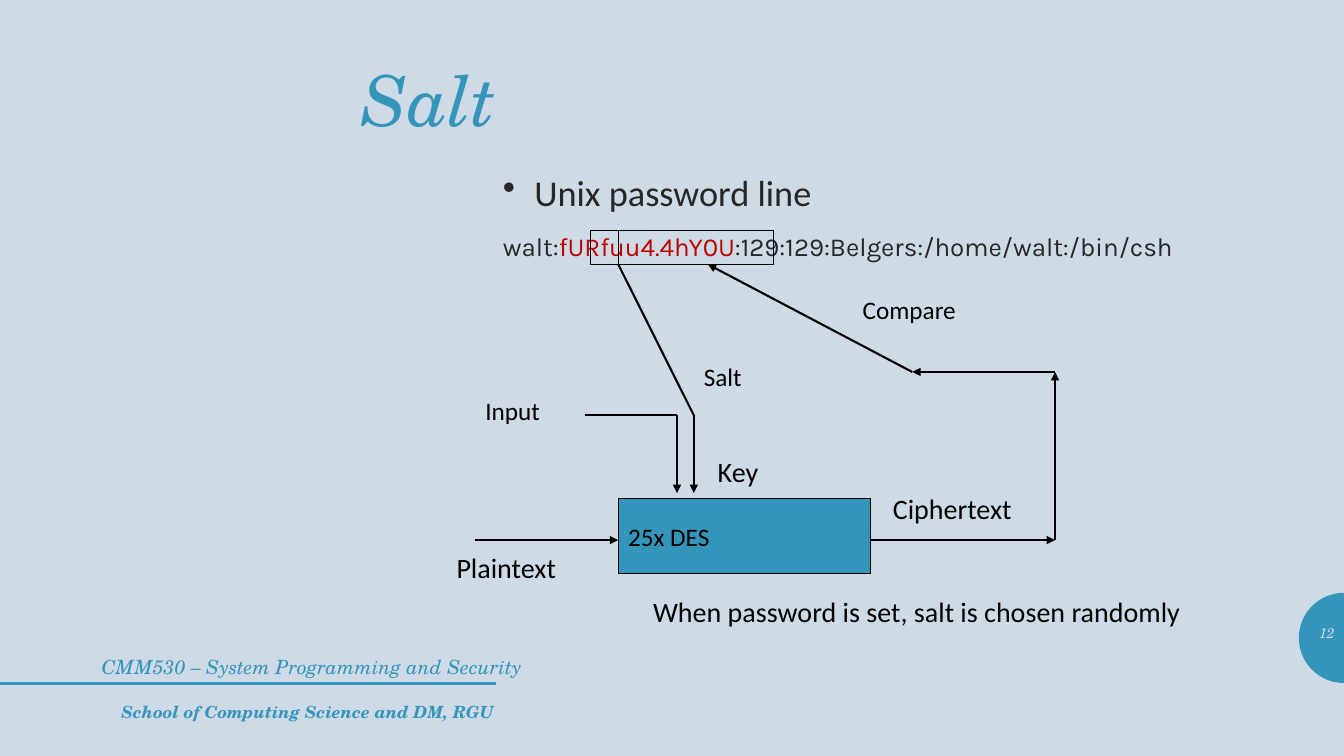
from dataclasses import dataclass
from math import cos, radians, sin

from lxml.etree import SubElement
from pptx import Presentation
from pptx.dml.color import RGBColor
from pptx.enum.shapes import MSO_CONNECTOR, MSO_SHAPE
from pptx.enum.text import MSO_ANCHOR, MSO_AUTO_SIZE, PP_ALIGN
from pptx.oxml.ns import qn
from pptx.util import Pt


@dataclass(frozen=True)
class Theme:
    background: RGBColor = RGBColor(0xCE, 0xDB, 0xE6)
    accent: RGBColor = RGBColor(0x34, 0x94, 0xBA)
    ink: RGBColor = RGBColor(0, 0, 0)
    body: RGBColor = RGBColor(0x26, 0x26, 0x26)
    highlight: RGBColor = RGBColor(0xC0, 0, 0)
    serif: str = "TeX Gyre Schola"
    sans: str = "Calibri"
    code: str = "Karla"
    title_size: float = 50
    bullet_size: float = 25.9
    code_size: float = 18.5
    large_size: float = 20
    label_size: float = 18
    course_size: float = 14
    school_size: float = 12
    number_size: float = 10


theme = Theme()
deck = Presentation()
deck.slide_width, deck.slide_height = Pt(960), Pt(540)
page = deck.slides.add_slide(deck.slide_layouts[6])
page.background.fill.solid()
page.background.fill.fore_color.rgb = theme.background


def add_text(text, left, top, width, height, size, face, color, align=PP_ALIGN.LEFT):
    box = page.shapes.add_textbox(Pt(left), Pt(top), Pt(width), Pt(height))
    box.text_frame.word_wrap = True
    para = box.text_frame.paragraphs[0]
    para.text = text
    para.alignment = align
    para.font.size, para.font.name, para.font.color.rgb = Pt(size), face, color
    return box


def add_line(start, end, color, width, arrow=False):
    line = page.shapes.add_connector(
        MSO_CONNECTOR.STRAIGHT, Pt(start[0]), Pt(start[1]), Pt(end[0]), Pt(end[1]))
    line.line.color.rgb = color
    line.line.width = Pt(width)
    if arrow:
        SubElement(line.line._get_or_add_ln(), qn("a:tailEnd"), type="triangle")
    SubElement(line._element.spPr, qn("a:effectLst"))


# Half disc on the right edge, behind the page number
disc_x, disc_y, radius = 960, 455.7, 32.2
arc = [(Pt(disc_x + radius * cos(radians(angle))), Pt(disc_y + radius * sin(radians(angle))))
       for angle in range(90, 271, 5)]
outline = page.shapes.build_freeform(*arc[0])
outline.add_line_segments(arc[1:], close=True)
disc = outline.convert_to_shape()
disc.shadow.inherit = False
disc.fill.solid()
disc.fill.fore_color.rgb = theme.accent
disc.line.fill.background()

# Title, footer and page number
add_line((0, 488.3), (354.3, 488.3), theme.accent, 2)
course = add_text("CMM530 – System Programming and Security", 27.4, 464.4, 352.8, 28.8,
                  theme.course_size, theme.serif, theme.accent, PP_ALIGN.RIGHT)
school = add_text("School of Computing Science and DM, RGU", 60, 497.5, 300, 28.8,
                  theme.school_size, theme.serif, theme.accent, PP_ALIGN.RIGHT)
title = add_text("Salt", 60, 43.9, 301.7, 390,
                 theme.title_size, theme.serif, theme.accent, PP_ALIGN.RIGHT)
number = add_text("12", 928, 434.2, 32.4, 36,
                  theme.number_size, theme.serif, theme.background, PP_ALIGN.RIGHT)
for box in (course, school, title, number):
    box.text_frame.paragraphs[0].font.italic = True
school.text_frame.paragraphs[0].font.bold = True
title.text_frame.paragraphs[0].line_spacing = 0.9
number.text_frame.vertical_anchor = MSO_ANCHOR.MIDDLE

# Password line
body = add_text("Unix password line", 352.1, 114.5, 539.3, 84.2,
                theme.bullet_size, theme.sans, theme.body)
bullet = body.text_frame.paragraphs[0]
bullet.line_spacing = 1.12
properties = bullet._p.get_or_add_pPr()
properties.set("marL", str(Pt(22.5)))
properties.set("indent", str(-Pt(22.5)))
mark = properties.makeelement(qn("a:buChar"), {"char": "•"})
properties.find(qn("a:defRPr")).addprevious(mark)

entry = body.text_frame.add_paragraph()
entry.line_spacing = 1.12
entry.space_before = Pt(9)
entry.font.size, entry.font.name = Pt(theme.code_size), theme.code
for text, color in (
    ("walt:", theme.body),
    ("fURfuu4.4hY0U", theme.highlight),
    (":129:129:Belgers:/home/walt:/bin/csh", theme.body),
):
    span = entry.add_run()
    span.text = text
    span.font.color.rgb = color

# Frames around salt and hash, and the cipher block
des_left, des_right = 441.6, 621.6
frame_top, frame_bottom = 164.6, 188.8
frame_height = frame_bottom - frame_top
for left, top, width, height, text in (
    (421.6, frame_top, 20, frame_height, ""),
    (des_left, frame_top, 111, frame_height, ""),
    (des_left, 355.8, des_right - des_left, 54, "25x DES"),
):
    block = page.shapes.add_shape(MSO_SHAPE.RECTANGLE, Pt(left), Pt(top), Pt(width), Pt(height))
    block.shadow.inherit = False
    block.line.color.rgb = theme.ink
    block.line.width = Pt(0.75)
    if not text:
        block.fill.background()
        continue
    block.fill.solid()
    block.fill.fore_color.rgb = theme.accent
    block.text_frame.word_wrap = False
    block.text_frame.vertical_anchor = MSO_ANCHOR.MIDDLE
    para = block.text_frame.paragraphs[0]
    para.text = text
    para.alignment = PP_ALIGN.LEFT
    para.font.size, para.font.name = Pt(theme.label_size), theme.sans
    para.font.color.rgb = theme.ink

# Data flow
input_x, salt_x, output_x, compare_x = 483.6, 495.6, 753.6, 651.6
key_y, arrow_y, flow_y, compare_y = 296.6, 352.2, 385.8, 265.7
for start, end, arrow in (
    ((417.6, key_y), (input_x, key_y), False),
    ((input_x, key_y), (input_x, arrow_y), True),
    ((des_left, frame_bottom), (salt_x, key_y), False),
    ((salt_x, key_y), (salt_x, arrow_y), True),
    ((339.6, flow_y), (des_left, flow_y), True),
    ((des_right, flow_y), (output_x, flow_y), True),
    ((output_x, flow_y), (output_x, compare_y), True),
    ((output_x, compare_y), (compare_x, compare_y), True),
    ((compare_x, compare_y), (505.6, frame_bottom), True),
):
    add_line(start, end, theme.ink, 1.5, arrow)

for text, left, top, width, height, size in (
    ("Input", 339.6, 278.6, 71.3, 36, theme.label_size),
    ("Salt", 495.6, 254.9, 54, 36, theme.label_size),
    ("Compare", 609.1, 206.6, 109.4, 36, theme.label_size),
    ("Key", 505.6, 321.1, 46.8, 31, theme.large_size),
    ("Plaintext", 319, 389.5, 90, 31, theme.large_size),
    ("Ciphertext", 630.7, 347.8, 105.1, 31, theme.large_size),
    ("When password is set, salt is chosen randomly", 459.4, 427.7, 397.4, 24.5, theme.large_size),
):
    label = add_text(text, left, top, width, height, size, theme.sans, theme.ink)
    label.text_frame.word_wrap = False
    label.text_frame.auto_size = MSO_AUTO_SIZE.SHAPE_TO_FIT_TEXT
label.text_frame.paragraphs[0].line_spacing = 0.7

deck.save("out.pptx")
